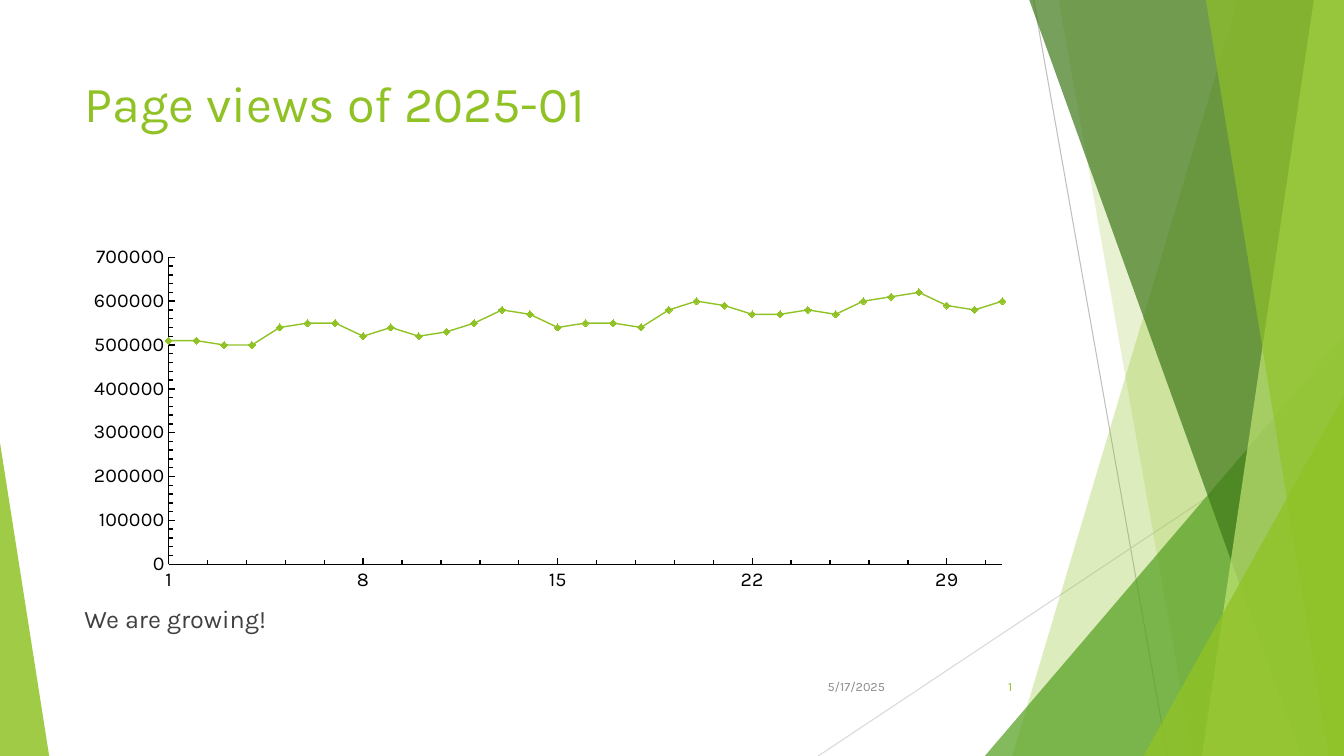
import pptx
import pptx.chart.data
import pptx.dml.color
import pptx.enum.chart
import pptx.enum.shapes
import pptx.enum.text
import pptx.oxml
import pptx.oxml.ns
import pptx.util

Cm = pptx.util.Cm
Pt = pptx.util.Pt
qn = pptx.oxml.ns.qn
ALIGN = pptx.enum.text.PP_ALIGN
ANCHOR = pptx.enum.text.MSO_ANCHOR
TICK = pptx.enum.chart.XL_TICK_MARK
FONT = "Karla"
GREEN = "90C226"
WIDE, HIGH = 33.87, 19.05
VIEWS = [51, 51, 50, 50, 54, 55, 55, 52, 54, 52, 53,
         55, 58, 57, 54, 55, 55, 54, 58, 60, 59, 57,
         57, 58, 57, 60, 61, 62, 59, 58, 60]
START = 45658


def color(code):
    return pptx.dml.color.RGBColor.from_string(code)


def paint(shape, code, alpha):
    shape.shadow.inherit = False
    shape.line.fill.background()
    shape.fill.solid()
    shape.fill.fore_color.rgb = color(code)
    node = shape._element.spPr.find(".//" + qn("a:srgbClr"))
    node.append(node.makeelement(qn("a:alpha"), {"val": str(alpha * 1000)}))


def text(slide, box, words, size=18, code=GREEN, align=ALIGN.LEFT,
         anchor=ANCHOR.TOP, before=0):
    frame = slide.shapes.add_textbox(*map(Cm, box)).text_frame
    frame.word_wrap = True
    frame.vertical_anchor = anchor
    para = frame.paragraphs[0]
    para.alignment = align
    para.space_before = Pt(before)
    run = para.add_run()
    run.text = words
    run.font.size = Pt(size)
    run.font.name = FONT
    run.font.color.rgb = color(code)


def line(slide, x1, y1, x2, y2, code):
    kind = pptx.enum.shapes.MSO_CONNECTOR.STRAIGHT
    link = slide.shapes.add_connector(kind, Cm(x1), Cm(y1), Cm(x2), Cm(y2))
    link.line.color.rgb = color(code)
    link.line.width = Pt(0.75)
    props = link._element.spPr
    props.append(props.makeelement(qn("a:effectLst"), {}))


def wedge(slide, box, tip, code, alpha):
    kind = pptx.enum.shapes.MSO_SHAPE.ISOSCELES_TRIANGLE
    shape = slide.shapes.add_shape(kind, *map(Cm, box))
    shape.adjustments[0] = tip
    paint(shape, code, alpha)


def panel(slide, box, head, foot, code, alpha):
    left, top, wide, high = box
    right, base = left + wide, top + high
    build = slide.shapes.build_freeform(Cm(right - head), Cm(top))
    points = [(right, top), (right, base), (right - foot, base)]
    build.add_line_segments([(Cm(x), Cm(y)) for x, y in points], close=True)
    paint(build.convert_to_shape(), code, alpha)


def facets(slide, box):
    left, top, wide, high = box
    right, base = left + wide, top + high
    line(slide, right - 7.82, top, right - 4.45, base, "BFBFBF")
    line(slide, right, top + 10.24, left, base, "D9D9D9")
    panel(slide, box, 2.67, 8.36, GREEN, 30)
    panel(slide, box, 7.19, 3.81, GREEN, 20)
    wedge(slide, (right - 9.05, base - 10.59, 9.05, 10.59), 1, "54A021", 72)
    panel(slide, box, 7.93, 1.07, "3F7819", 70)
    panel(slide, box, 0.76, 3.58, "C0E474", 70)
    panel(slide, box, 3.48, 0.38, GREEN, 65)
    wedge(slide, (right - 5.05, base - 9.07, 5.05, 9.07), 1, GREEN, 80)


def layout(chart, **parts):
    area = chart._chartSpace.chart.plotArea
    old = area.find(qn("c:layout"))
    if old is not None:
        area.remove(old)
    outer = area.makeelement(qn("c:layout"), {})
    area.insert(0, outer)
    inner = outer.makeelement(qn("c:manualLayout"), {})
    outer.append(inner)
    rules = {"layoutTarget": "inner", "xMode": "edge", "yMode": "edge"}
    for name, val in {**rules, **parts}.items():
        inner.append(inner.makeelement(qn("c:" + name), {"val": str(val)}))


def scale(axis, low, top, major, minor, form):
    axis.minimum_scale, axis.maximum_scale = low, top
    axis.major_unit, axis.minor_unit = major, minor
    axis.has_major_gridlines = axis.has_minor_gridlines = False
    axis.major_tick_mark = axis.minor_tick_mark = TICK.INSIDE
    axis.format.line.color.rgb = color("000000")
    axis.format.line.width = Pt(1)
    labels = axis.tick_labels
    labels.number_format = form
    labels.number_format_is_linked = False
    labels.font.size = Pt(14)
    labels.font.name = FONT
    labels.font.color.rgb = color("000000")


def graph(slide, box):
    data = pptx.chart.data.XyChartData()
    views = data.add_series("Series 1")
    for day, count in enumerate(VIEWS, START):
        views.add_data_point(day, count * 10000)
    kind = pptx.enum.chart.XL_CHART_TYPE.XY_SCATTER_LINES
    chart = slide.shapes.add_chart(kind, *map(Cm, box), data).chart
    chart.has_title = chart.has_legend = False
    chart.font.name = FONT
    chart.font.size = Pt(10)
    chart.font.color.rgb = color("000000")
    plot = chart.plots[0]
    plot.vary_by_categories = False
    scale(chart.category_axis, START, START + 30, 7, 1.4, "d")
    scale(chart.value_axis, 0, 700000, 100000, 20000, "0")
    layout(chart, x=0.1, y=0.05, w=0.88, h=0.85)
    row = plot.series[0]
    row.smooth = False
    row.format.line.color.rgb = color(GREEN)
    row.format.line.width = Pt(1)
    mark = row.marker
    mark.style = pptx.enum.chart.XL_MARKER_STYLE.DIAMOND
    mark.size = 5
    mark.format.fill.solid()
    mark.format.fill.fore_color.rgb = color(GREEN)
    mark.format.line.color.rgb = color(GREEN)


def body(slide, box):
    left, top, wide, high = box
    base = top + high
    text(slide, (left, top, wide, 3.66), "Page views of 2025-01", size=36)
    graph(slide, (left - 0.02, top + 4.33, wide, 9.1))
    text(slide, (left, base - 1.7, wide, 1.7), "We are growing!",
         code="404040", before=10)


def footer(slide, box):
    left, top, wide, high = box
    small = {"size": 9, "align": ALIGN.RIGHT, "anchor": ANCHOR.MIDDLE}
    text(slide, (left, top, 2.54, high), "5/17/2025", code="8C8C8C", **small)
    text(slide, (left + wide - 1.9, top, 1.9, high), "1", **small)


def main():
    deck = pptx.Presentation()
    deck.slide_width, deck.slide_height = Cm(WIDE), Cm(HIGH)
    slide = deck.slides.add_slide(deck.slide_layouts[6])
    facets(slide, (WIDE - 13.25, 0, 13.25, HIGH))
    wedge(slide, (0, HIGH - 7.9, 1.24, 7.9), 0, GREEN, 85)
    body(slide, (1.88, 1.7, 23.88, 15.09))
    footer(slide, (20.01, 16.79, 5.75, 1.02))
    deck.save("out.pptx")


if __name__ == "__main__":
    main()
